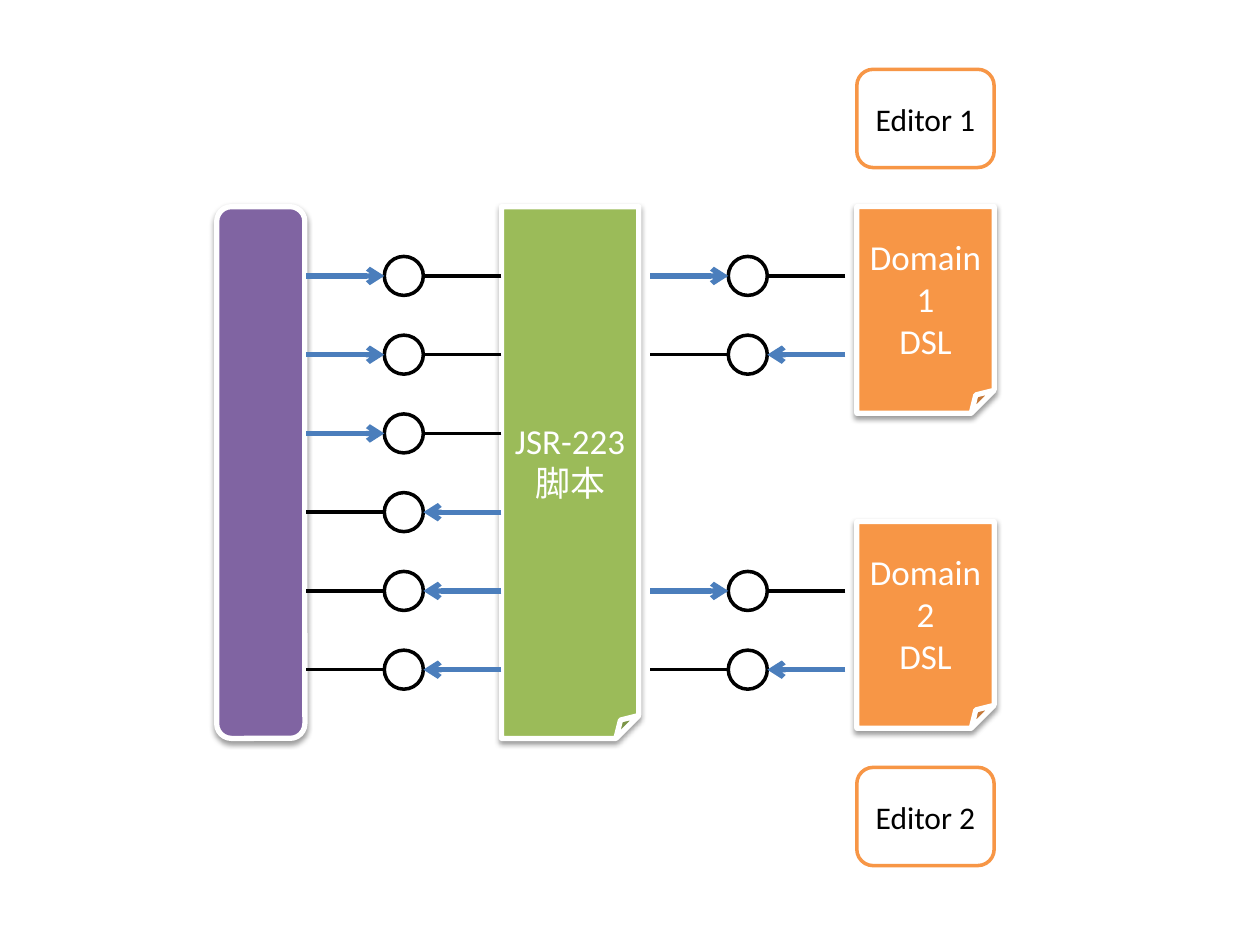
from lxml import etree
from pptx import Presentation
from pptx.dml.color import RGBColor
from pptx.enum import shapes, text
from pptx.oxml import parse_xml
from pptx.oxml.ns import nsdecls, qn
from pptx.util import Inches, Pt

SHADOW = (
    f'<a:outerShdw {nsdecls("a")} blurRad="{Pt(3.1)}" dist="{Pt(1.6)}" dir="5400000" rotWithShape="0">'
    '<a:srgbClr val="000000"><a:alpha val="38000"/></a:srgbClr></a:outerShdw>'
)
KINDS = shapes.MSO_SHAPE


def add_box(kind, bounds, fill, line, weight, label="", size=20, ink="FFFFFF", shadow=False):
    box = page.shapes.add_shape(kind, *map(Inches, bounds))
    box.fill.solid()
    box.fill.fore_color.rgb = RGBColor.from_string(fill)
    box.line.color.rgb = RGBColor.from_string(line)
    box.line.width = Pt(weight)
    box.shadow.inherit = False
    if shadow:
        box._element.spPr.find(qn("a:effectLst")).append(parse_xml(SHADOW))
    if label:
        frame = box.text_frame
        frame.text = label
        frame.word_wrap = True
        frame.vertical_anchor = text.MSO_ANCHOR.MIDDLE
        for paragraph in frame.paragraphs:
            paragraph.alignment = text.PP_ALIGN.CENTER
            for span in paragraph.runs:
                span.font.name = "Calibri"
                span.font.size = Pt(size)
                span.font.color.rgb = RGBColor.from_string(ink)


def add_link(start_x, end_x, y, arrow):
    """Draw a plain black line, or a blue arrow pointing at end_x."""
    link = page.shapes.add_connector(
        shapes.MSO_CONNECTOR.STRAIGHT, Inches(start_x), Inches(y), Inches(end_x), Inches(y))
    link.line.color.rgb = RGBColor.from_string("4B7EBC" if arrow else "000000")
    link.line.width = Pt(3 if arrow else 2)
    if arrow:
        etree.SubElement(link.line._get_or_add_ln(), qn("a:tailEnd"), type="arrow")
    etree.SubElement(link._element.spPr, qn("a:effectLst"))


deck = Presentation()
deck.slide_width, deck.slide_height = Inches(10), Inches(7.5)
page = deck.slides.add_slide(deck.slide_layouts[6])

# Application, script, domain languages and their editors
add_box(KINDS.ROUNDED_RECTANGLE, (1.72, 1.64, 0.7, 4.22), "8064A2", "FFFFFF", 3, shadow=True)
add_box(KINDS.FOLDED_CORNER, (3.98, 1.64, 1.09, 4.22), "9BBB59", "FFFFFF", 3,
        "JSR-223\n脚本", shadow=True)
for top, label in [(1.64, "Domain1\nDSL"), (4.14, "Domain\n2\nDSL")]:
    add_box(KINDS.FOLDED_CORNER, (6.8, top, 1.09, 1.64), "F79646", "FFFFFF", 3, label, shadow=True)
for top, label in [(0.55, "Editor 1"), (6.09, "Editor 2")]:
    add_box(KINDS.ROUNDED_RECTANGLE, (6.8, top, 1.09, 0.78), "FFFFFF", "F79646", 2,
            label, 18, "000000")

# Interfaces: a circle with a line on the provider's side and an arrow on the caller's
FIRST_ROW, ROW_PITCH = 2.19, 5 / 8
DIAMETER, REACH = 0.31, 0.62
columns = [
    (3.05, {0: "left", 1: "left", 2: "left", 3: "right", 4: "right", 5: "right"}),
    (5.78, {0: "left", 1: "right", 4: "left", 5: "right"}),
]
for left, callers in columns:
    right = left + DIAMETER
    for row, caller in callers.items():
        y = FIRST_ROW + row * ROW_PITCH
        add_box(KINDS.OVAL, (left, y - DIAMETER / 2, DIAMETER, DIAMETER), "FFFFFF", "000000", 2)
        add_link(left - REACH, left, y, arrow=caller == "left")
        add_link(right + REACH, right, y, arrow=caller == "right")

deck.save("out.pptx")
